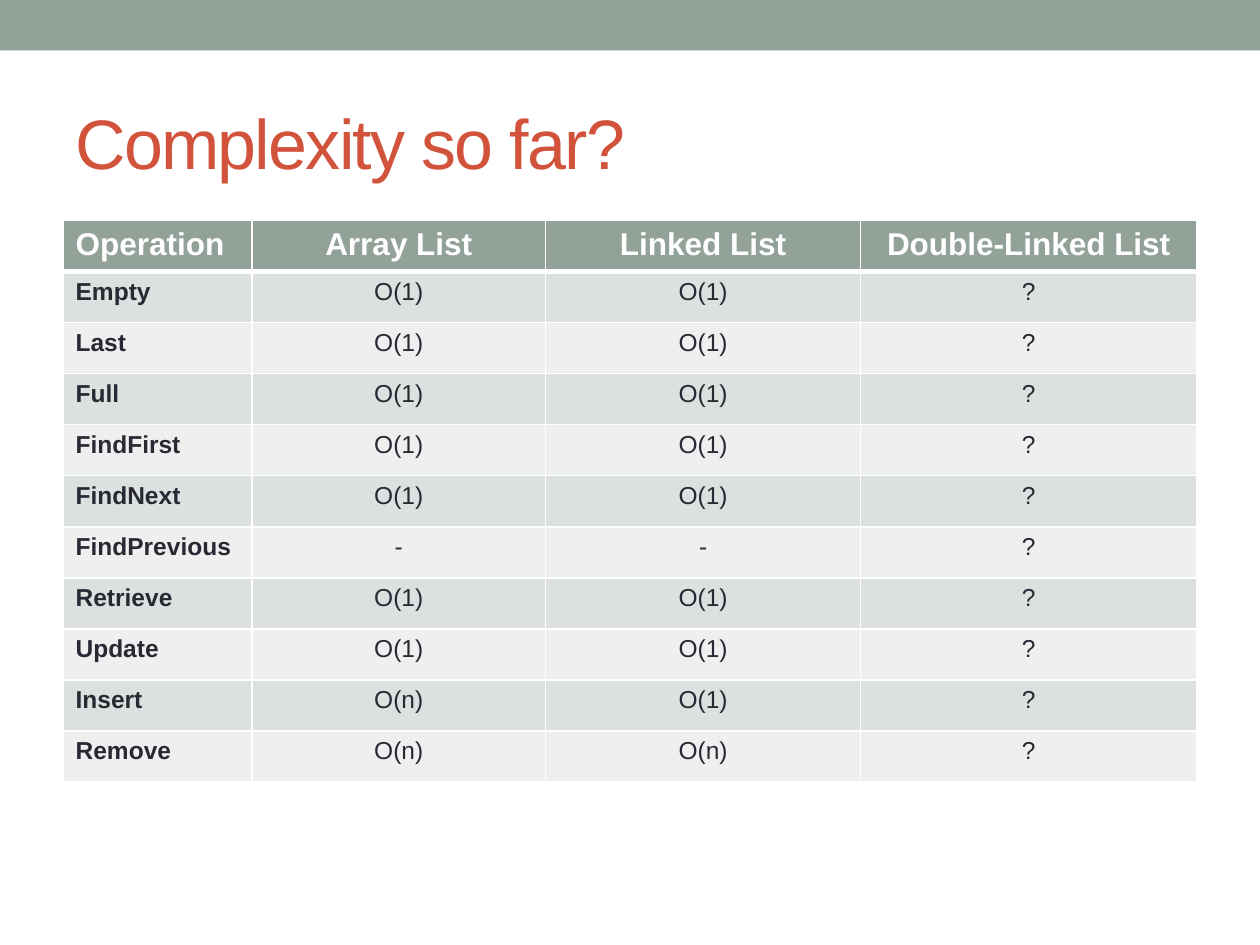
from lxml import etree
from pptx import Presentation
from pptx import util as u
from pptx.dml.color import RGBColor
from pptx.enum import shapes, text
from pptx.oxml.ns import qn

SAGE = RGBColor(0x93, 0xA2, 0x99)
RUST = RGBColor(0xD2, 0x53, 0x3C)
INK = RGBColor(0x29, 0x29, 0x34)
WHITE = RGBColor(0xFF, 0xFF, 0xFF)
BANDS = RGBColor(0xDC, 0xE0, 0xDE), RGBColor(0xEE, 0xF0, 0xEF)
FONT = "Arial"
WIDE, HIGH = u.Inches(10), u.Inches(7.5)
EDGE = 0.05
COLS = 1.5, 2.33, 2.5, 2.67
ROW = u.Inches(4.46 / 11)

HEAD = "Operation", "Array List", "Linked List", "Double-Linked List"
COSTS = [
    ("Empty", "O(1)", "O(1)"),
    ("Last", "O(1)", "O(1)"),
    ("Full", "O(1)", "O(1)"),
    ("FindFirst", "O(1)", "O(1)"),
    ("FindNext", "O(1)", "O(1)"),
    ("FindPrevious", "-", "-"),
    ("Retrieve", "O(1)", "O(1)"),
    ("Update", "O(1)", "O(1)"),
    ("Insert", "O(n)", "O(1)"),
    ("Remove", "O(n)", "O(n)"),
]


def style(para, size, color, bold=False):
    for run in para.runs:
        font = run.font
        font.name, font.size, font.bold = FONT, u.Pt(size), bold
        font.color.rgb = color


def add_bar(slide):
    bar = slide.shapes.add_shape(
        shapes.MSO_SHAPE.RECTANGLE, 0, 0, WIDE, u.Inches(0.4))
    bar.shadow.inherit = False
    bar.fill.solid()
    bar.fill.fore_color.rgb = SAGE
    bar.line.fill.background()


def add_title(slide, words):
    box = slide.shapes.add_textbox(
        int(WIDE * EDGE), u.Inches(0.58), int(WIDE * (1 - 2 * EDGE)), u.Inches(1.08))
    frame = box.text_frame
    frame.word_wrap = True
    frame.vertical_anchor = text.MSO_ANCHOR.MIDDLE
    frame.text = words
    para = frame.paragraphs[0]
    style(para, 40, RUST)
    para.runs[0].font._element.set("spc", "-100")


def set_edge(cell, side, points):
    props = cell._tc.get_or_add_tcPr()
    line = etree.SubElement(props, qn("a:ln" + side), w=str(u.Pt(points)))
    fill = etree.SubElement(line, qn("a:solidFill"))
    etree.SubElement(fill, qn("a:srgbClr"), val=str(WHITE))


def fill_cell(cell, words, row, col):
    top = row == 0
    for side in "LRTB":
        thick = (row, side) in ((0, "B"), (1, "T"))
        set_edge(cell, side, 3 if thick else 1)
    cell.fill.solid()
    cell.fill.fore_color.rgb = SAGE if top else BANDS[(row - 1) % 2]
    cell.text_frame.text = words
    para = cell.text_frame.paragraphs[0]
    if col:
        para.alignment = text.PP_ALIGN.CENTER
    style(para, 18 if top else 14, WHITE if top else INK, top or col == 0)


def add_grid(slide):
    data = [HEAD] + [cost + ("?",) for cost in COSTS]
    grid = slide.shapes.add_table(
        len(data), len(COLS), int(WIDE * EDGE), u.Inches(1.75),
        u.Inches(sum(COLS)), ROW * len(data)).table
    for col, width in zip(grid.columns, COLS):
        col.width = u.Inches(width)
    for row, items in enumerate(data):
        grid.rows[row].height = ROW
        for col, words in enumerate(items):
            fill_cell(grid.cell(row, col), words, row, col)


def main():
    deck = Presentation()
    deck.slide_width, deck.slide_height = WIDE, HIGH
    slide = deck.slides.add_slide(deck.slide_layouts[6])
    add_bar(slide)
    add_title(slide, "Complexity so far?")
    add_grid(slide)
    deck.save("out.pptx")


main()
